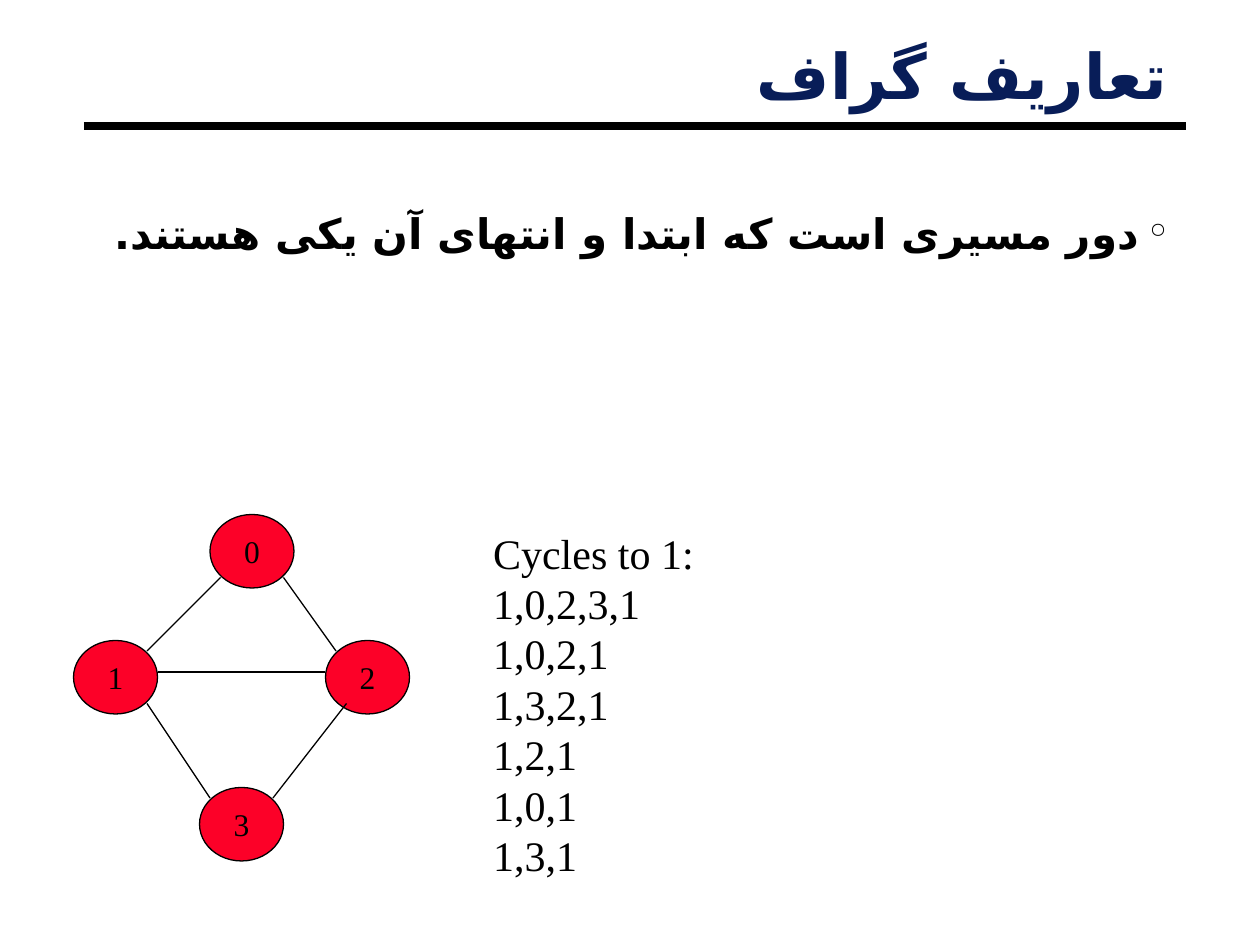
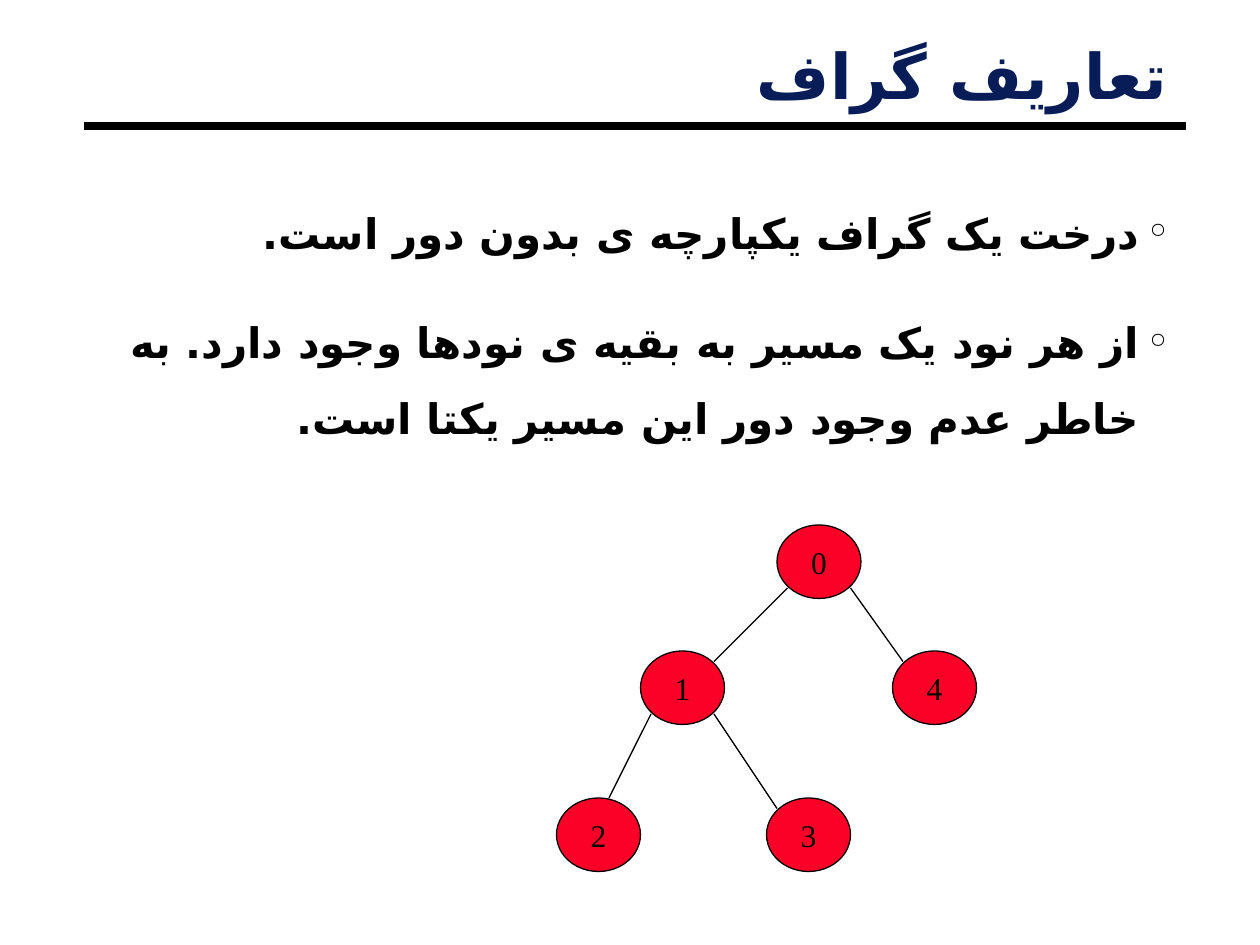
from dataclasses import dataclass

from lxml.etree import SubElement
from pptx import Presentation
from pptx.dml.color import RGBColor
from pptx.enum.shapes import MSO_CONNECTOR, MSO_SHAPE
from pptx.enum.text import MSO_ANCHOR, MSO_AUTO_SIZE, PP_ALIGN
from pptx.oxml.ns import qn
from pptx.slide import Slide
from pptx.text.text import TextFrame
from pptx.util import Pt

NAVY = RGBColor(0x08, 0x1D, 0x58)
RED = RGBColor(0xFC, 0x01, 0x28)
BLACK = RGBColor(0, 0, 0)
SERIF = "Times New Roman"
ARABIC = "DejaVu Sans"
TITLE = "تعاریف گراف"
NODE_W, NODE_H = 48, 42
HANG = 16


@dataclass(frozen=True)
class Node:
    label: str
    x: float
    y: float


@dataclass(frozen=True)
class Edge:
    x1: float
    y1: float
    x2: float
    y2: float


@dataclass(frozen=True)
class Graph:
    left: float
    top: float
    nodes: tuple[Node, ...]
    edges: tuple[Edge, ...]


ROOT = Node("0", 78, 0)
LEFT = Node("1", 0, 72)
LOW = Node("3", 72, 156)
SHARED = (Edge(84, 36, 42, 78), Edge(120, 36, 150, 78), Edge(78, 162, 42, 108))

CYCLE = Graph(42, 294, (ROOT, LEFT, Node("2", 144, 72), LOW),
              SHARED + (Edge(48, 90, 144, 90), Edge(114, 162, 156, 108)))
TREE = Graph(366, 300, (ROOT, LEFT, Node("4", 144, 72), LOW, Node("2", -48, 156)),
             SHARED + (Edge(6, 108, -18, 156),))


def write(frame: TextFrame, *lines: str, font: str = SERIF, size: float = 24,
          color: RGBColor = BLACK, bold: bool = False,
          align: PP_ALIGN = PP_ALIGN.LEFT, rtl: bool = False,
          lead: float = 1.0, before: float = 0, bullet: str = "") -> None:
    for i, line in enumerate(lines):
        para = frame.paragraphs[0] if i == 0 else frame.add_paragraph()
        para.alignment = align
        para.line_spacing = lead
        para.space_before = Pt(before)
        run = para.add_run()
        run.text = line
        run.font.name = font
        run.font.size = Pt(size)
        run.font.bold = bold
        run.font.color.rgb = color
        props = para._p.get_or_add_pPr()
        if rtl:
            props.set("rtl", "1")
            SubElement(run._r.get_or_add_rPr(), qn("a:cs"), typeface=ARABIC)
        if bullet:
            props.set("marL", str(Pt(HANG)))
            props.set("indent", str(-Pt(HANG)))
            tint = SubElement(props, qn("a:buClr"))
            SubElement(tint, qn("a:srgbClr"), val=str(color))
            SubElement(props, qn("a:buChar"), char=bullet)


def add_box(slide: Slide, x: float, y: float, w: float, h: float,
            pad: tuple[float, float], grow: bool = False) -> TextFrame:
    frame = slide.shapes.add_textbox(Pt(x), Pt(y), Pt(w), Pt(h)).text_frame
    frame.word_wrap = True
    frame.auto_size = MSO_AUTO_SIZE.SHAPE_TO_FIT_TEXT if grow else MSO_AUTO_SIZE.NONE
    frame.margin_left = frame.margin_right = Pt(pad[0])
    frame.margin_top = frame.margin_bottom = Pt(pad[1])
    return frame


def add_line(slide: Slide, edge: Edge, width: float = 0.75,
             left: float = 0, top: float = 0) -> None:
    line = slide.shapes.add_connector(
        MSO_CONNECTOR.STRAIGHT, Pt(left + edge.x1), Pt(top + edge.y1),
        Pt(left + edge.x2), Pt(top + edge.y2))
    line.line.color.rgb = BLACK
    line.line.width = Pt(width)
    SubElement(line._element.spPr, qn("a:effectLst"))


def add_node(slide: Slide, node: Node, left: float, top: float) -> None:
    oval = slide.shapes.add_shape(
        MSO_SHAPE.OVAL, Pt(left + node.x), Pt(top + node.y), Pt(NODE_W), Pt(NODE_H))
    oval.shadow.inherit = False
    oval.fill.solid()
    oval.fill.fore_color.rgb = RED
    oval.line.color.rgb = BLACK
    oval.line.width = Pt(0.75)
    frame = oval.text_frame
    frame.word_wrap = False
    frame.vertical_anchor = MSO_ANCHOR.MIDDLE
    write(frame, node.label, size=18, align=PP_ALIGN.CENTER)


def add_graph(slide: Slide, graph: Graph) -> None:
    for node in graph.nodes:
        add_node(slide, node, graph.left, graph.top)
    for edge in graph.edges:
        add_line(slide, edge, left=graph.left, top=graph.top)


def add_page(deck, points: tuple[str, ...], height: float, graph: Graph) -> Slide:
    slide = deck.slides.add_slide(deck.slide_layouts[6])
    add_line(slide, Edge(48, 72, 678, 72), width=4.5)
    write(add_box(slide, 48, 24.5, 624, 43, (5, 2), grow=True), TITLE,
          font="Lato", size=36, color=NAVY, bold=True,
          align=PP_ALIGN.RIGHT, rtl=True, lead=0.87)
    write(add_box(slide, 54, 102, 618, height, (5, 2)), *points,
          font="Roboto", bold=True, align=PP_ALIGN.RIGHT, rtl=True,
          lead=1.5, before=19.5, bullet="°")
    add_graph(slide, graph)
    return slide


def main() -> None:
    deck = Presentation()
    deck.slide_width, deck.slide_height = Pt(720), Pt(540)
    slide = add_page(deck, ("دور مسیری است که ابتدا و انتهای آن یکی هستند.",), 423, CYCLE)
    write(add_box(slide, 274.7, 297.7, 229, 237.5, (7.2, 3.6), grow=True),
          "Cycles to 1:", "1,0,2,3,1", "1,0,2,1", "1,3,2,1", "1,2,1", "1,0,1", "1,3,1")
    add_page(deck, (
        "درخت یک گراف یکپارچه ی بدون دور است.",
        "از هر نود یک مسیر به بقیه ی نودها وجود دارد. به خاطر عدم وجود دور این مسیر یکتا است.",
    ), 154, TREE)
    deck.save("out.pptx")


if __name__ == "__main__":
    main()
